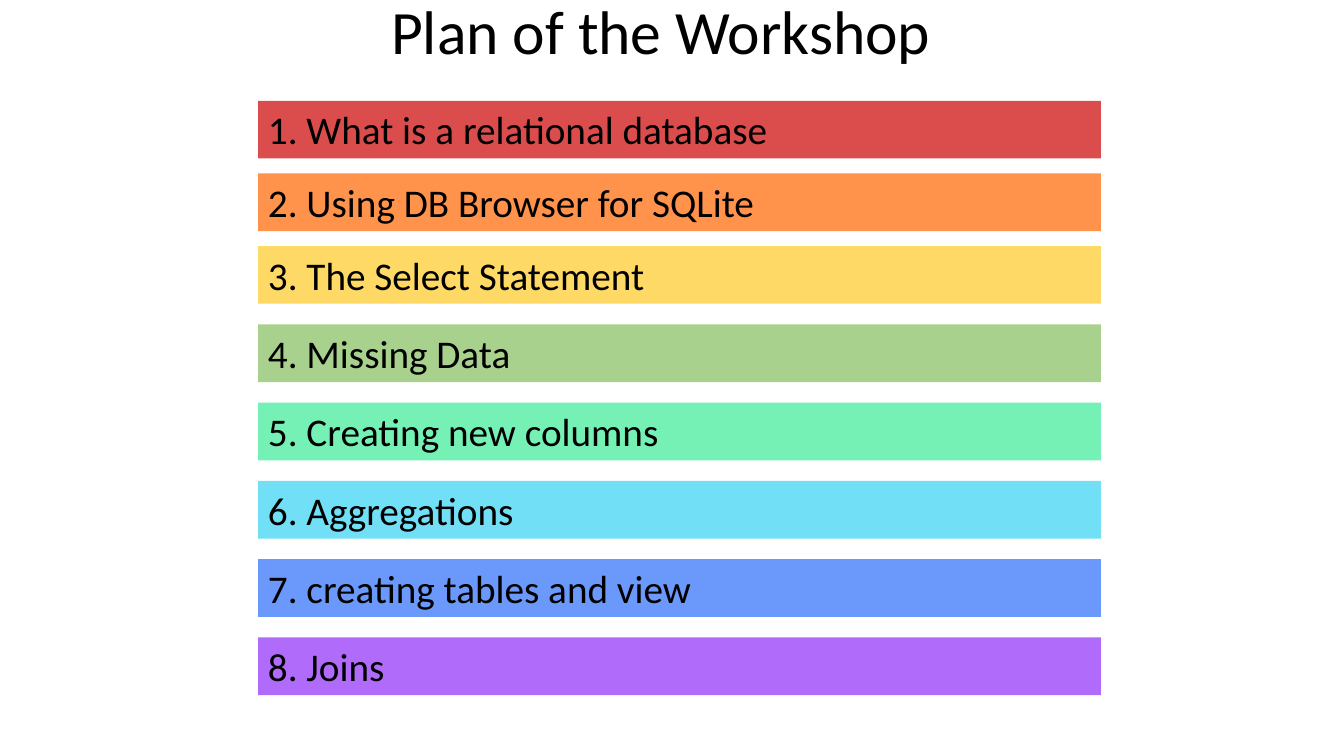
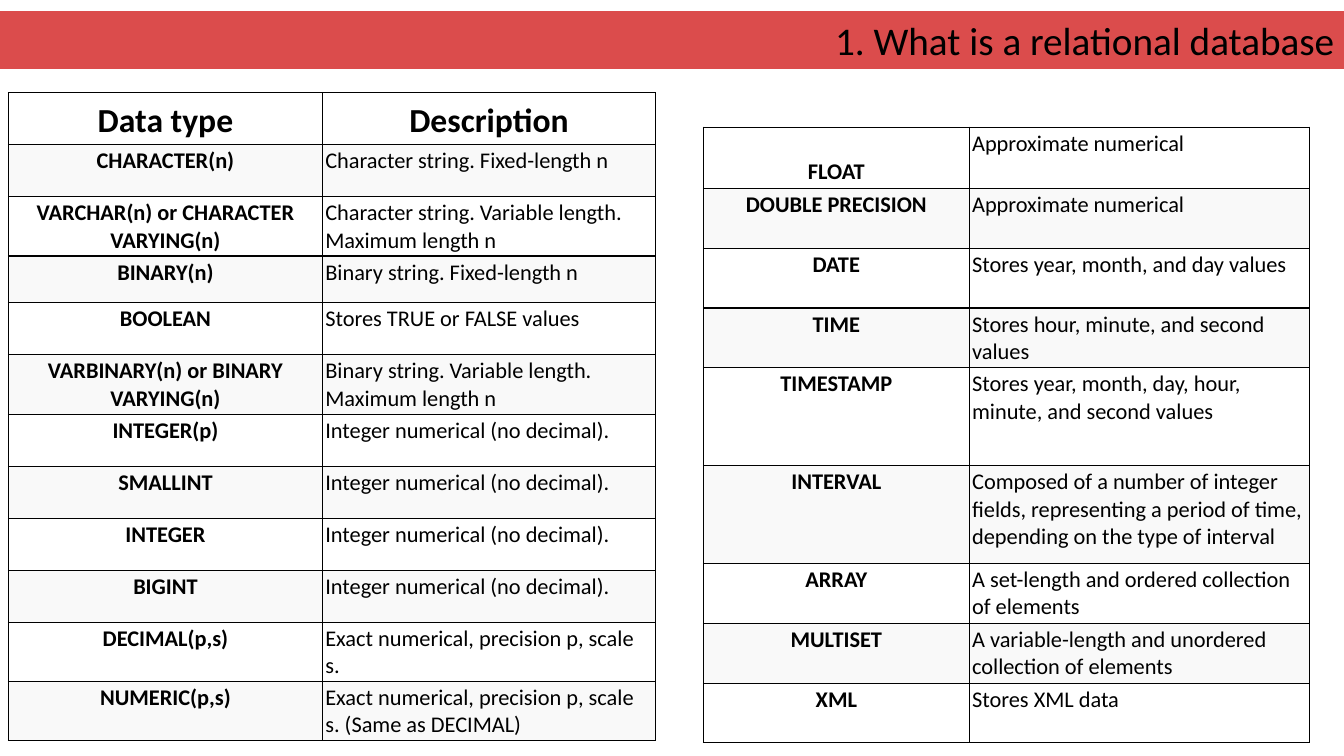
from lxml import etree
from pptx import Presentation
from pptx.dml.color import RGBColor
from pptx.enum import shapes, text
from pptx.oxml.ns import qn
from pptx.util import Pt

FONT = "Calibri"
COLORS = {
    "text": "000000", "border": "000000", "plain": "FFFFFF", "stripe": "F9F9F9",
    "red": "CC0000", "orange": "FF6600", "yellow": "FFD966", "green": "A9D18E",
    "mint": "75F1B6", "cyan": "71DFF5", "blue": "6B98FB", "purple": "B06BFB",
}
OPACITY = {"red": 70, "orange": 70}
LEFT, CENTER, RIGHT = text.PP_ALIGN.LEFT, text.PP_ALIGN.CENTER, text.PP_ALIGN.RIGHT
TOP, MIDDLE, BOTTOM = (text.MSO_ANCHOR.TOP, text.MSO_ANCHOR.MIDDLE,
                       text.MSO_ANCHOR.BOTTOM)

SLIDE_W, SLIDE_H = 960, 540
BAR_H = 41.2

TITLE = "Plan of the Workshop"
TOPICS = [
    ("1. What is a relational database", "red"),
    ("2. Using DB Browser for SQLite", "orange"),
    ("3. The Select Statement", "yellow"),
    ("4. Missing Data", "green"),
    ("5. Creating new columns", "mint"),
    ("6. Aggregations", "cyan"),
    ("7. creating tables and view", "blue"),
    ("8. Joins", "purple"),
]

# Rows: data type, description, row height
HEADER = ("Data type", "Description", 37.15)
BASIC_TYPES = [
    ("CHARACTER(n)", "Character string. Fixed-length n", 37.15),
    ("VARCHAR(n) or CHARACTER VARYING(n)",
     "Character string. Variable length. Maximum length n", 37.15),
    ("BINARY(n)", "Binary string. Fixed-length n", 33.5),
    ("BOOLEAN", "Stores TRUE or FALSE values", 37.15),
    ("VARBINARY(n) or BINARY VARYING(n)",
     "Binary string. Variable length. Maximum length n", 37.15),
    ("INTEGER(p)", "Integer numerical (no decimal).", 37.15),
    ("SMALLINT", "Integer numerical (no decimal).", 37.15),
    ("INTEGER", "Integer numerical (no decimal).", 37.15),
    ("BIGINT", "Integer numerical (no decimal).", 37.15),
    ("DECIMAL(p,s)", "Exact numerical, precision p, scale s.", 37.15),
    ("NUMERIC(p,s)", "Exact numerical, precision p, scale s. (Same as DECIMAL)", 37.15),
]
OTHER_TYPES = [
    ("FLOAT", "Approximate numerical", 44),
    ("DOUBLE PRECISION", "Approximate numerical", 42.6),
    ("DATE", "Stores year, month, and day values", 42.6),
    ("TIME", "Stores hour, minute, and second values", 42.6),
    ("TIMESTAMP", "Stores year, month, day, hour, minute, and second values", 70),
    ("INTERVAL", "Composed of a number of integer fields, representing a period "
     "of time, depending on the type of interval", 70),
    ("ARRAY", "A set-length and ordered collection of elements", 42.6),
    ("MULTISET", "A variable-length and unordered collection of elements", 43),
    ("XML", "Stores XML data", 42.6),
]


def rgb(name):
    return RGBColor.from_string(COLORS[name])


def write(tf, words, size, align=LEFT, bold=False):
    p = tf.paragraphs[0]
    p.alignment = align
    r = p.add_run()
    r.text = words
    r.font.name, r.font.size, r.font.bold = FONT, Pt(size), bold
    r.font.color.rgb = rgb("text")
    return p


def add_title(slide, words):
    tf = slide.shapes.add_textbox(Pt(58.3), 0, Pt(828), Pt(52.6)).text_frame
    tf.word_wrap = True
    tf.vertical_anchor = MIDDLE
    write(tf, words, 44, CENTER).line_spacing = 0.8


def add_bar(slide, topic, left, top, width, align=LEFT):
    words, color = topic
    sp = slide.shapes.add_shape(shapes.MSO_SHAPE.RECTANGLE,
                                Pt(left), Pt(top), Pt(width), Pt(BAR_H))
    sp.shadow.inherit = False
    sp.line.fill.background()
    sp.fill.solid()
    sp.fill.fore_color.rgb = rgb(color)
    if color in OPACITY:
        clr = sp._element.spPr.find(".//" + qn("a:srgbClr"))
        etree.SubElement(clr, qn("a:alpha"), val=str(OPACITY[color] * 1000))
    tf = sp.text_frame
    tf.word_wrap = True
    tf.auto_size = text.MSO_AUTO_SIZE.SHAPE_TO_FIT_TEXT
    tf.vertical_anchor = TOP
    write(tf, words, 28, align)


def set_borders(cell):
    tc_pr = cell._tc.get_or_add_tcPr()
    for i, side in enumerate(("a:lnL", "a:lnR", "a:lnT", "a:lnB")):
        ln = etree.Element(qn(side), w=str(Pt(1)))
        fill = etree.SubElement(ln, qn("a:solidFill"))
        etree.SubElement(fill, qn("a:srgbClr"), val=COLORS["border"])
        tc_pr.insert(i, ln)


def add_type_table(slide, rows, left, top, widths):
    frame = slide.shapes.add_table(len(rows), 2, Pt(left), Pt(top), Pt(sum(widths)),
                                   Pt(sum(row[2] for row in rows)))
    table = frame.table
    table.first_row = table.horz_banding = False
    for column, width in zip(table.columns, widths):
        column.width = Pt(width)
    for i, (name, description, height) in enumerate(rows):
        table.rows[i].height = Pt(height)
        is_header = name == HEADER[0]
        for j, words in enumerate((name, description)):
            cell = table.cell(i, j)
            cell.margin_left = cell.margin_right = Pt(2)
            cell.margin_top = cell.margin_bottom = Pt(2)
            low = is_header or words == "FLOAT"
            cell.vertical_anchor = BOTTOM if low else TOP
            cell.fill.solid()
            cell.fill.fore_color.rgb = rgb("stripe" if i % 2 else "plain")
            set_borders(cell)
            strong = is_header or j == 0
            write(cell.text_frame, words, 24 if is_header else 16,
                  CENTER if strong else LEFT, strong)


def build_plan(slide):
    add_title(slide, TITLE)
    top = 72
    for i, topic in enumerate(TOPICS):
        add_bar(slide, topic, 184.3, top, 602)
        top += 51.9 if i < 2 else 55.9


def build_data_types(slide):
    add_type_table(slide, OTHER_TYPES, 502.4, 90.8, (190, 243))
    add_type_table(slide, [HEADER] + BASIC_TYPES, 6, 66.2, (224.4, 237.8))
    add_bar(slide, TOPICS[0], 0, 8, SLIDE_W, RIGHT)


def main():
    prs = Presentation()
    prs.slide_width, prs.slide_height = Pt(SLIDE_W), Pt(SLIDE_H)
    for build in (build_plan, build_data_types):
        build(prs.slides.add_slide(prs.slide_layouts[6]))
    prs.save("out.pptx")


if __name__ == "__main__":
    main()
